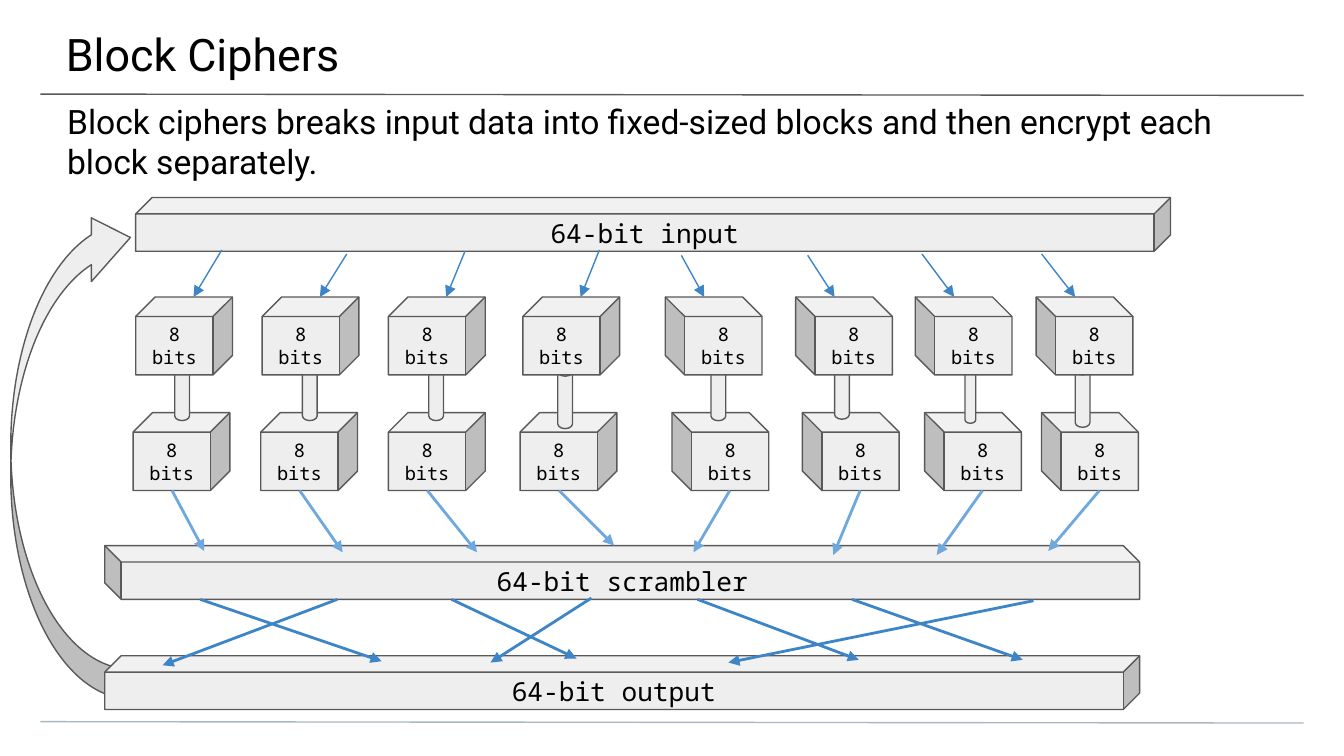
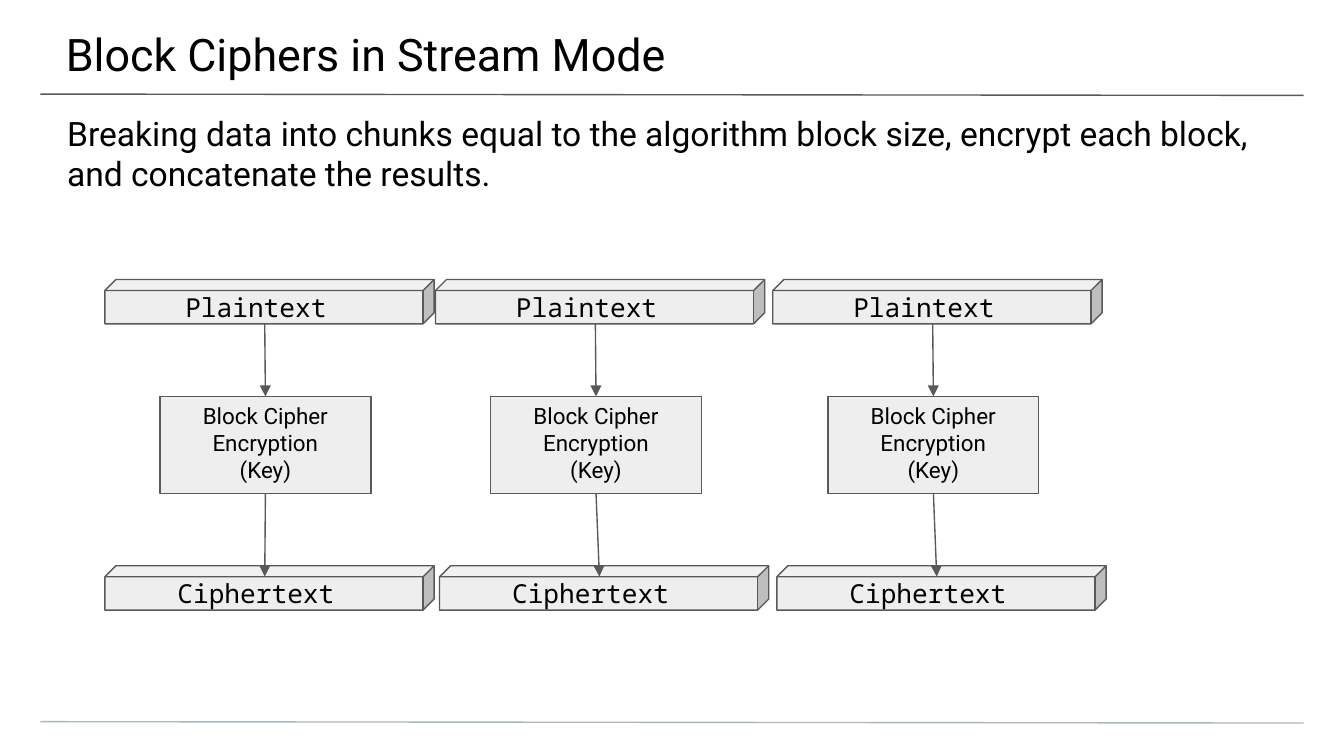
import pptx
import pptx.util
import pptx.dml.color
import pptx.enum.shapes
import pptx.enum.text
import pptx.oxml
import pptx.oxml.ns
from collections import namedtuple
from lxml import etree

Inches = pptx.util.Inches
SHAPES = pptx.enum.shapes.MSO_SHAPE

COLORS = {
    "text": "000000",
    "fill": "EEEEEE",
    "outline": "595959",
    "footer": "A9B7C0",
    "blue": "3D85C6",
    "light_blue": "6FA8DC",
}
SANS, MONO = "Roboto", "Noto Sans Mono"

# Slide 1: one column per byte of the block
Column = namedtuple("Column", "upper lower pipe feed target")
COLUMNS = [
    # upper cube x, lower cube x, pipe box, feed start, scrambler target
    Column(1.01, 0.99, (1.30, 2.67, 0.11, 0.46), (1.65, 1.86), (1.52, 4.10)),
    Column(1.95, 1.94, (2.25, 2.67, 0.11, 0.46), (2.58, 1.89), (2.55, 4.11)),
    Column(2.89, 2.89, (3.19, 2.67, 0.11, 0.46), (3.46, 1.87), (3.55, 4.11)),
    Column(3.89, 3.87, (4.15, 2.73, 0.11, 0.46), (4.46, 1.86), (4.57, 4.06)),
    Column(4.95, 5.00, (5.29, 2.64, 0.11, 0.49), (5.07, 1.90), (5.16, 4.11)),
    Column(5.92, 5.97, (6.21, 2.66, 0.11, 0.46), (6.01, 1.90), (6.20, 4.13)),
    Column(6.81, 6.88, (7.18, 2.69, 0.08, 0.46), (6.86, 1.89), (6.97, 4.13)),
    Column(7.71, 7.75, (8.00, 2.72, 0.11, 0.46), (7.75, 1.89), (7.80, 4.10)),
]
MIRRORED_FROM = 4
CUBE_W, CUBE_H, CUBE_DEPTH = 0.72, 0.58, 0.14
UPPER_Y, LOWER_Y = 2.21, 3.07
BARS = [
    # text, left, top, mirrored
    ("64-bit output", 0.78, 4.88, False),
    ("64-bit input", 1.01, 1.47, False),
    ("64-bit scrambler ", 0.78, 4.06, True),
]
SCRAMBLES = [
    ((1.49, 4.46), (2.84, 4.92)),
    ((2.51, 4.46), (1.21, 4.95)),
    ((3.36, 4.46), (4.29, 4.90)),
    ((4.40, 4.45), (3.65, 4.93)),
    ((5.19, 4.46), (6.39, 4.91)),
    ((6.34, 4.46), (7.61, 4.91)),
    ((7.69, 4.47), (5.42, 4.93)),
]

# Slide 2: left edges of plaintext, cipher box and ciphertext in each chain
CHAINS = [(0.78, 1.19, 0.78), (3.24, 3.65, 3.27), (5.75, 6.16, 5.78)]


def rgb(name):
    return pptx.dml.color.RGBColor.from_string(COLORS[name])


def write(frame, lines, size, font, align=None):
    frame.word_wrap = True
    for index, line in enumerate(lines):
        para = frame.paragraphs[0] if index == 0 else frame.add_paragraph()
        para.alignment = align
        span = para.add_run()
        span.text = line
        span.font.size = pptx.util.Pt(size)
        span.font.name = font
        span.font.color.rgb = rgb("text")


def set_margins(frame, left, top, right, bottom):
    frame.margin_left, frame.margin_top = Inches(left), Inches(top)
    frame.margin_right, frame.margin_bottom = Inches(right), Inches(bottom)


def add_text(page, place, margins, text, size):
    frame = page.shapes.add_textbox(*map(Inches, place)).text_frame
    set_margins(frame, *margins)
    write(frame, [text], size, SANS)


def add_solid(page, kind, place, adjustments=(), lines=(), size=14,
              font=MONO, mirrored=False, bottom_margin=0.1):
    """Grey outlined shape with optional centred text."""
    shape = page.shapes.add_shape(kind, *map(Inches, place))
    shape.shadow.inherit = False
    shape.fill.solid()
    shape.fill.fore_color.rgb = rgb("fill")
    shape.line.color.rgb = rgb("outline")
    shape.line.width = pptx.util.Pt(0.75)
    for index, value in enumerate(adjustments):
        shape.adjustments[index] = value
    if mirrored:
        shape.element.spPr.xfrm.set("flipH", "1")
    if lines:
        frame = shape.text_frame
        set_margins(frame, 0.1, 0.1, 0.1, bottom_margin)
        frame.vertical_anchor = pptx.enum.text.MSO_ANCHOR.MIDDLE
        write(frame, lines, size, font, pptx.enum.text.PP_ALIGN.CENTER)
    return shape


def add_line(page, start, end, color, width=0.75, arrow="tailEnd"):
    """Straight line; arrow is tailEnd (at end), headEnd (at start) or None."""
    line = page.shapes.add_connector(
        pptx.enum.shapes.MSO_CONNECTOR.STRAIGHT,
        *map(Inches, (*start, *end)))
    line.line.color.rgb = rgb(color)
    line.line.width = pptx.util.Pt(width)
    if arrow:
        outline = line.element.spPr.find(pptx.oxml.ns.qn("a:ln"))
        etree.SubElement(outline, pptx.oxml.ns.qn("a:" + arrow),
                         type="triangle")
    etree.SubElement(line.element.spPr, pptx.oxml.ns.qn("a:effectLst"))
    return line


def add_page(deck, title, subtitle, subtitle_top):
    """Page with the shared rules, title and subtitle."""
    page = deck.slides.add_slide(deck.slide_layouts[6])
    add_line(page, (0.3, 0.7), (9.7, 0.71), "outline", arrow=None)
    add_line(page, (0.3, 5.37), (9.7, 5.38), "footer", arrow=None)
    add_text(page, (-0.01, 0, 10.03, 0.58), (0.5, 0.2, 0.3, 0.1), title, 24)
    add_text(page, (0, subtitle_top, 10, 0.4), (0.5, 0.1, 0.5, 0), subtitle, 18)
    return page


def add_byte_cube(page, left, top, mirrored):
    add_solid(page, SHAPES.CUBE, (left, top, CUBE_W, CUBE_H), [0.25],
              ["8 bits"], 10, mirrored=mirrored)


def build_block_ciphers(deck):
    page = add_page(
        deck, "Block Ciphers",
        "Block ciphers breaks input data into fixed-sized blocks and then "
        "encrypt each block separately.", 0.65)

    # Loop from output back to input
    loop = add_solid(page, SHAPES.CURVED_LEFT_ARROW, (0.08, 1.53, 0.89, 3.67),
                     [0.25, 0.533, 0.326])
    loop.rotation = 180

    # Cubes and the pipes between them
    columns = [(column, index >= MIRRORED_FROM)
               for index, column in enumerate(COLUMNS)]
    for column, mirrored in columns:
        add_byte_cube(page, column.lower, LOWER_Y, mirrored)
    for column, mirrored in columns:
        add_solid(page, SHAPES.CAN, column.pipe, [0.637])
        add_byte_cube(page, column.upper, UPPER_Y, mirrored)

    # Long bars
    for text, left, top, mirrored in BARS:
        add_solid(page, SHAPES.CUBE, (left, top, 7.7, 0.4), [0.306], [text],
                  mirrored=mirrored)

    # Arrows into the top faces and out of the front faces
    for column, mirrored in columns:
        near = (CUBE_W - CUBE_DEPTH) / 2
        far = near + CUBE_DEPTH
        top_x, front_x = (near, far) if mirrored else (far, near)
        add_line(page, (column.upper + top_x, UPPER_Y), column.feed, "blue",
                 arrow="headEnd")
        add_line(page, (column.lower + front_x, LOWER_Y + CUBE_H),
                 column.target, "light_blue", 1.5)
    for start, end in SCRAMBLES:
        add_line(page, start, end, "blue", 1.5)


def add_chain(page, plain_left, cipher_left, result_left):
    """Plaintext bar, cipher box and ciphertext bar, joined by arrows."""
    front_middle = 1.19
    for text, left, top in (("Plaintext ", plain_left, 2.08),
                            ("Ciphertext ", result_left, 4.21)):
        add_solid(page, SHAPES.CUBE, (left, top, 2.45, 0.33), [0.25], [text])
    cipher = add_solid(page, SHAPES.RECTANGLE, (cipher_left, 2.95, 1.57, 0.72),
                       lines=["Block Cipher Encryption", "(Key)"], size=12,
                       font=SANS, bottom_margin=0.13)
    middle = cipher_left + 1.57 / 2
    arrow_in = add_line(page, (plain_left + front_middle, 2.41),
                        (middle, 2.95), "outline")
    arrow_in.end_connect(cipher, 0)
    arrow_out = add_line(page, (middle, 3.67),
                         (result_left + front_middle, 4.29), "outline")
    arrow_out.begin_connect(cipher, 2)


def build_stream_mode(deck):
    page = add_page(
        deck, "Block Ciphers in Stream Mode",
        "Breaking data into chunks equal to the algorithm block size, encrypt "
        "each block, and concatenate the results.", 0.74)
    for chain in CHAINS:
        add_chain(page, *chain)


def main():
    deck = pptx.Presentation()
    # Widescreen, 16:9
    deck.slide_width = Inches(10)
    deck.slide_height = Inches(10) * 9 // 16
    build_block_ciphers(deck)
    build_stream_mode(deck)
    deck.save("out.pptx")


if __name__ == "__main__":
    main()
